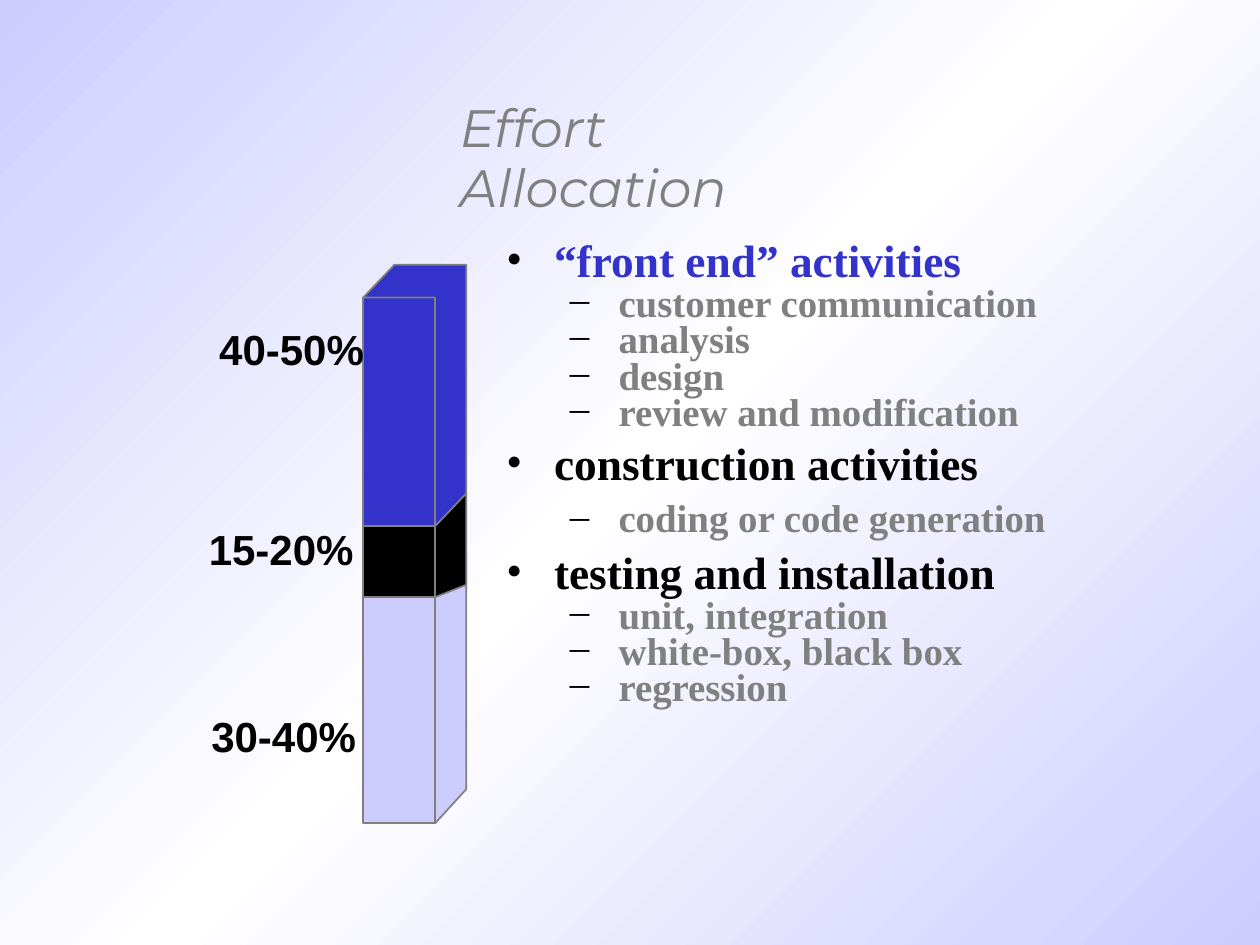
"""Build the Effort Allocation slide: a stacked 3D bar beside its activities."""
from copy import deepcopy
from dataclasses import dataclass
from typing import Any

from lxml.etree import SubElement
from pptx import Presentation
from pptx.dml.color import RGBColor
from pptx.enum.text import MSO_ANCHOR, MSO_AUTO_SIZE, PP_ALIGN
from pptx.oxml.ns import qn
from pptx.util import Cm, Pt


@dataclass(frozen=True)
class Theme:
    """Colours, fonts and type sizes of the slide."""
    blue: str = "3333CC"
    pale: str = "CCCCFF"
    white: str = "FFFFFF"
    black: str = "000000"
    grey: str = "808080"
    title_font: str = "Montserrat"
    label_font: str = "Arial"
    body_font: str = "Times New Roman"
    title_size: float = 30
    label_size: float = 24
    head_size: float = 25.9
    item_size: float = 22.2


@dataclass(frozen=True)
class Block:
    """One block of the bar, in centimetres."""
    top: float
    height: float
    rise: float
    color: str


@dataclass(frozen=True)
class Label:
    """A percentage label, in centimetres."""
    text: str
    left: float
    top: float


@dataclass(frozen=True)
class Level:
    """Paragraph format of one list level, in centimetres and points."""
    bullet: str
    margin: float
    hang: float
    size: float
    before: float


@dataclass(frozen=True)
class Activity:
    """A heading with its items and their line spacing."""
    head: str
    color: str
    items: tuple[str, ...]
    spacing: float = 0.55


T = Theme()
BAR_LEFT, BAR_WIDTH, BAR_DEPTH = 7.32, 1.45, 0.63
HEAD = Level("•", 0.96, 0.96, T.head_size, 7)
ITEM = Level("–", 2.26, 0.98, T.item_size, 6)
BLOCKS = (
    Block(11.81, 4.79, 0.69, T.pale),
    Block(10.2, 1.84, 0.25, T.black),
    Block(6.0, 4.61, 0.66, T.blue),
)
LABELS = (
    Label("40-50%", 4.17, 6.5),
    Label("15-20%", 3.96, 10.54),
    Label("30-40%", 4.01, 14.3),
)
ACTIVITIES = (
    Activity("“front end” activities", T.blue,
             ("customer communication", "analysis", "design", "review and modification")),
    Activity("construction activities", T.black, ("coding or code generation",), 0.85),
    Activity("testing and installation", T.black,
             ("unit, integration", "white-box, black box", "regression")),
)


def set_attrs(obj: Any, values: dict[str, Any]) -> None:
    """Set each named attribute of an object."""
    for name, value in values.items():
        setattr(obj, name, value)


def set_frame(tf: Any, side: float, end: float, wrap: bool) -> None:
    """Set the margins, wrapping and anchor of a text frame."""
    set_attrs(tf, {"margin_left": Cm(side), "margin_right": Cm(side),
                   "margin_top": Cm(end), "margin_bottom": Cm(end),
                   "word_wrap": wrap, "auto_size": MSO_AUTO_SIZE.NONE,
                   "vertical_anchor": MSO_ANCHOR.TOP})


def write(p: Any, text: str, font: str, size: float, color: str, spacing: float,
          **style: bool) -> None:
    """Write one left-aligned run in a paragraph."""
    set_attrs(p, {"alignment": PP_ALIGN.LEFT, "line_spacing": spacing})
    r = p.add_run()
    r.text = text
    set_attrs(r.font, {"name": font, "size": Pt(size), **style})
    r.font.color.rgb = RGBColor.from_string(color)


def paint_background(s: Any) -> None:
    """Fill the background with a diagonal three-stop gradient."""
    fill = s.background.fill
    fill.gradient()
    fill.gradient_angle = 135
    stops = next(s._element.iter(qn("a:gsLst")))
    stops.append(deepcopy(stops[-1]))
    for stop, position, color in zip(fill.gradient_stops, (0, 0.5, 1), (T.pale, T.white, T.pale)):
        stop.position = position
        stop.color.rgb = RGBColor.from_string(color)


def draw_title(s: Any) -> None:
    """Place and write the title."""
    sp = s.shapes.title
    set_attrs(sp, {"left": Cm(9.09), "top": Cm(1.93), "width": Cm(7.87), "height": Cm(1.35)})
    set_frame(sp.text_frame, 0.18, 0.08, True)
    write(sp.text_frame.paragraphs[0], "Effort Allocation", T.title_font, T.title_size,
          T.grey, 0.95, italic=True)


def draw_block(s: Any, block: Block) -> None:
    """Draw a block as a front face joined to its top and side."""
    group = s.shapes.add_group_shape()
    x, back = BAR_LEFT, BAR_LEFT + BAR_DEPTH
    right, bottom = x + BAR_WIDTH, block.top + block.height
    front = group.shapes.add_shape(1, Cm(x), Cm(block.top), Cm(BAR_WIDTH), Cm(block.height))
    outline = [(right, bottom), (right + BAR_DEPTH, bottom - block.rise),
               (right + BAR_DEPTH, block.top - block.rise), (back, block.top - block.rise),
               (x, block.top), (right, block.top)]
    points = [(Cm(px), Cm(py)) for px, py in outline]
    builder = group.shapes.build_freeform(*points[0])
    builder.add_line_segments(points[1:], close=True)
    for sp in (front, builder.convert_to_shape()):
        sp.shadow.inherit = False
        sp.fill.solid()
        sp.fill.fore_color.rgb = RGBColor.from_string(block.color)
        sp.line.color.rgb = RGBColor.from_string(T.grey)
        sp.line.width = Pt(1)


def draw_label(s: Any, label: Label) -> None:
    """Draw a percentage label."""
    tf = s.shapes.add_textbox(Cm(label.left), Cm(label.top), Cm(3.43), Cm(1.17)).text_frame
    set_frame(tf, 0.25, 0.13, False)
    write(tf.paragraphs[0], label.text, T.label_font, T.label_size, T.black, 0.9, bold=True)


def add_bullet(p: Any, level: Level) -> None:
    """Give a paragraph a hanging black bullet."""
    pPr = p._p.get_or_add_pPr()
    pPr.set("marL", str(Cm(level.margin)))
    pPr.set("indent", str(-Cm(level.hang)))
    SubElement(SubElement(pPr, qn("a:buClr")), qn("a:srgbClr"), val=T.black)
    SubElement(pPr, qn("a:buFont"), typeface=T.body_font)
    SubElement(pPr, qn("a:buChar"), char=level.bullet)


def draw_activities(s: Any, activities: tuple[Activity, ...]) -> None:
    """Draw the two-level list of activities."""
    tf = s.shapes.add_textbox(Cm(9.96), Cm(4.72), Cm(11.71), Cm(10.16)).text_frame
    set_frame(tf, 0.25, 0.13, True)
    rows = [row for a in activities for row in
            [(a.head, HEAD, a.color, 0.85), *((i, ITEM, T.grey, a.spacing) for i in a.items)]]
    for n, (text, level, color, spacing) in enumerate(rows):
        p = tf.add_paragraph() if n else tf.paragraphs[0]
        set_attrs(p, {"level": int(level is ITEM), "space_before": Pt(level.before if n else 0)})
        add_bullet(p, level)
        write(p, text, T.body_font, level.size, color, spacing, bold=True)


def main() -> None:
    """Build and save the presentation."""
    prs = Presentation()
    set_attrs(prs, {"slide_width": Cm(25.4), "slide_height": Cm(19.05)})
    s = prs.slides.add_slide(prs.slide_layouts[5])
    paint_background(s)
    draw_title(s)
    for block in BLOCKS:
        draw_block(s, block)
    for label in LABELS:
        draw_label(s, label)
    draw_activities(s, ACTIVITIES)
    prs.save("out.pptx")


if __name__ == "__main__":
    main()
